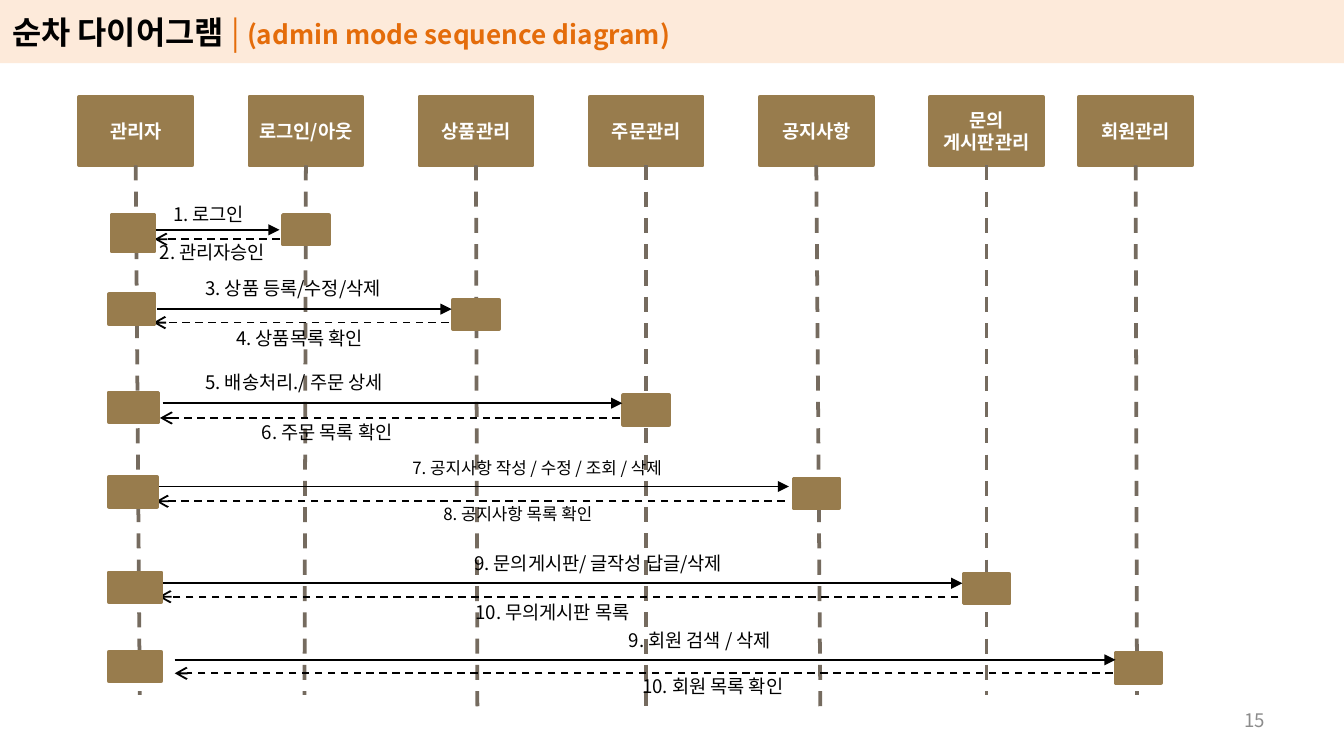
from pptx import Presentation
from pptx.dml.color import RGBColor
from pptx.enum.dml import MSO_LINE
from pptx.enum.shapes import MSO_CONNECTOR, MSO_SHAPE
from pptx.enum.text import MSO_ANCHOR, PP_ALIGN
from pptx.oxml.ns import qn
from pptx.util import Inches, Pt
from lxml import etree

RECT, STRAIGHT, DASH = MSO_SHAPE.RECTANGLE, MSO_CONNECTOR.STRAIGHT, MSO_LINE.DASH
LEFT, CENTER, RIGHT = PP_ALIGN.LEFT, PP_ALIGN.CENTER, PP_ALIGN.RIGHT
TOP, MIDDLE = MSO_ANCHOR.TOP, MSO_ANCHOR.MIDDLE
FONT = "Noto Sans CJK KR"
BLACK, WHITE, BROWN, STONE = "000000", "FFFFFF", "987C4D", "756B5F"
PEACH, ORANGE, GRAY = "FDEADA", "E46C0A", "8C8C8C"
WIDTH = 10
HEIGHT = WIDTH * 9 / 16

TITLE = [("순차 다이어그램 ", 17, BLACK, True), ("| ", 17, ORANGE, False),
         ("(admin mode sequence diagram)", 14, ORANGE, True)]
PAGE_NUMBER = "15"

# Participant, lifeline drift to the side, lifeline bottom
PARTICIPANTS = [
    ("관리자", 0.03, 5.17), ("로그인/아웃", -0.01, 5.17), ("상품관리", 0.01, 5.27),
    ("주문관리", 0, 5.27), ("공지사항", 0.03, 5.27), ("문의\n게시판관리", 0, 5.17),
    ("회원관리", 0.01, 5.17),
]
# Request: start, end, y. Reply: start, end, y. Admin box. Target top. Labels: text, left, top, width, size
EXCHANGES = [
    ((1.16, 2.08, 1.71), (2.08, 1.15, 1.78), (0.83, 1.6, 0.32, 0.27), 1.6,
     [("1. 로그인", 1.19, 1.46, 0.84, 10), ("2. 관리자승인", 1.09, 1.74, 1.14, 10)]),
    ((1.17, 3.36, 2.3), (3.34, 1.14, 2.4), (0.81, 2.19, 0.34, 0.22), 2.23,
     [("3. 상품 등록/수정/삭제", 1.43, 2.01, 1.76, 10), ("4. 상품목록 확인", 1.66, 2.38, 1.34, 10)]),
    ((1.21, 4.63, 3), (4.61, 1.19, 3.11), (0.81, 2.92, 0.37, 0.22), 2.94,
     [("5. 배송처리./ 주문 상세", 1.43, 2.71, 1.67, 10), ("6. 주문 목록 확인", 1.85, 3.08, 1.3, 10)]),
    ((1.18, 5.87, 3.62), (5.84, 1.16, 3.73), (0.81, 3.55, 0.36, 0.22), 3.56,
     [("7. 공지사항 작성 / 수정 / 조회 / 삭제", 2.97, 3.36, 2.32, 9),
      ("8. 공지사항 목록 확인", 3.2, 3.7, 1.44, 9)]),
    ((1.2, 7.16, 4.34), (7.13, 1.18, 4.44), (0.81, 4.26, 0.39, 0.22), 4.27,
     [("9. 문의게시판/ 글작성 답글/삭제", 3.43, 4.06, 2.25, 10),
      ("10. 무의게시판 목록", 3.44, 4.42, 1.47, 10)]),
    ((1.3, 8.3, 4.91), (8.28, 1.3, 5.01), (0.81, 4.85, 0.39, 0.22), 4.86,
     [("9. 회원 검색 / 삭제", 4.58, 4.63, 1.51, 10), ("10. 회원 목록 확인", 4.68, 4.97, 1.48, 10)]),
]
HEADER_LEFT, HEADER_TOP, HEADER_W, HEADER_H = 0.59, 0.72, 0.84, 0.51
PITCH, LAST_LEFT = 1.266, 8.03
TARGET_W, TARGET_H = 0.34, 0.22


def color(value):
    return RGBColor.from_string(value)


def write(shape, text, size=10, ink=BLACK, bold=False, align=LEFT, anchor=TOP,
          wrap=True, insets=(0.1, 0.05)):
    """Fill a shape with text, given as a string or as a list of runs."""
    frame = shape.text_frame
    frame.word_wrap, frame.vertical_anchor = wrap, anchor
    frame.margin_left = frame.margin_right = Inches(insets[0])
    frame.margin_top = frame.margin_bottom = Inches(insets[1])
    if isinstance(text, str):
        lines = [[(line, size, ink, bold)] for line in text.split("\n")]
    else:
        lines = [text]
    for number, runs in enumerate(lines):
        paragraph = frame.add_paragraph() if number else frame.paragraphs[0]
        paragraph.alignment = align
        for words, run_size, run_ink, run_bold in runs:
            run = paragraph.add_run()
            run.text = words
            run.font.size, run.font.bold, run.font.name = Pt(run_size), run_bold, FONT
            run.font.color.rgb = color(run_ink)
            etree.SubElement(run.font._element, qn("a:ea"), typeface=FONT)


def add_box(slide, place, fill, outline=None):
    box = slide.shapes.add_shape(RECT, *map(Inches, place))
    box.shadow.inherit = False
    box.fill.solid()
    box.fill.fore_color.rgb = color(fill)
    if outline:
        box.line.color.rgb, box.line.width = color(outline), Pt(2)
    else:
        box.line.fill.background()
    return box


def add_label(slide, text, place, **style):
    write(slide.shapes.add_textbox(*map(Inches, place)), text, **style)


def add_line(slide, start, end, ink=BLACK, width=1, dashed=False, arrow=None):
    line = slide.shapes.add_connector(STRAIGHT, *map(Inches, (*start, *end)))
    line.line.color.rgb, line.line.width = color(ink), Pt(width)
    if dashed:
        line.line.dash_style = DASH
    properties = line._element.spPr
    if arrow:
        etree.SubElement(properties.find(qn("a:ln")), qn("a:tailEnd"), type=arrow)
    etree.SubElement(properties, qn("a:effectLst"))
    return line


def main():
    deck = Presentation()
    deck.slide_width, deck.slide_height = Inches(WIDTH), Inches(HEIGHT)
    slide = deck.slides.add_slide(deck.slide_layouts[6])

    banner = add_box(slide, (0, 0, WIDTH, 0.47), PEACH)
    write(banner, TITLE, anchor=MIDDLE, insets=(0.09, 0.04))
    add_label(slide, PAGE_NUMBER, (7.17, 5.21, 2.33, 0.3), ink=GRAY,
              align=RIGHT, anchor=MIDDLE, insets=(0.09, 0.04))

    lefts = [HEADER_LEFT + PITCH * i for i in range(len(PARTICIPANTS) - 1)] + [LAST_LEFT]
    centers = [left + HEADER_W / 2 for left in lefts]
    for (name, drift, bottom), left, center in zip(PARTICIPANTS, lefts, centers):
        header = add_box(slide, (left, HEADER_TOP, HEADER_W, HEADER_H), BROWN, BROWN)
        write(header, name, ink=WHITE, bold=True, align=CENTER, anchor=MIDDLE, insets=(0, 0))
        lifeline = add_line(slide, (center, HEADER_TOP + HEADER_H), (center + drift, bottom),
                            ink=STONE, width=2, dashed=True)
        lifeline.begin_connect(header, 2)

    for (request, reply, admin, target_top, labels), center in zip(EXCHANGES, centers[1:]):
        target_left = max(center - TARGET_W / 2, request[1])
        add_box(slide, (target_left, target_top, TARGET_W, TARGET_H), BROWN, BROWN)
        for (start, end, y), dashed, arrow in ((request, False, "triangle"), (reply, True, "arrow")):
            add_line(slide, (start, y), (end, y), dashed=dashed, arrow=arrow)
        add_box(slide, admin, BROWN, BROWN)
        for text, left, top, width, size in labels:
            add_label(slide, text, (left, top, width, 0.27), size=size, wrap=False)

    deck.save("out.pptx")


if __name__ == "__main__":
    main()
